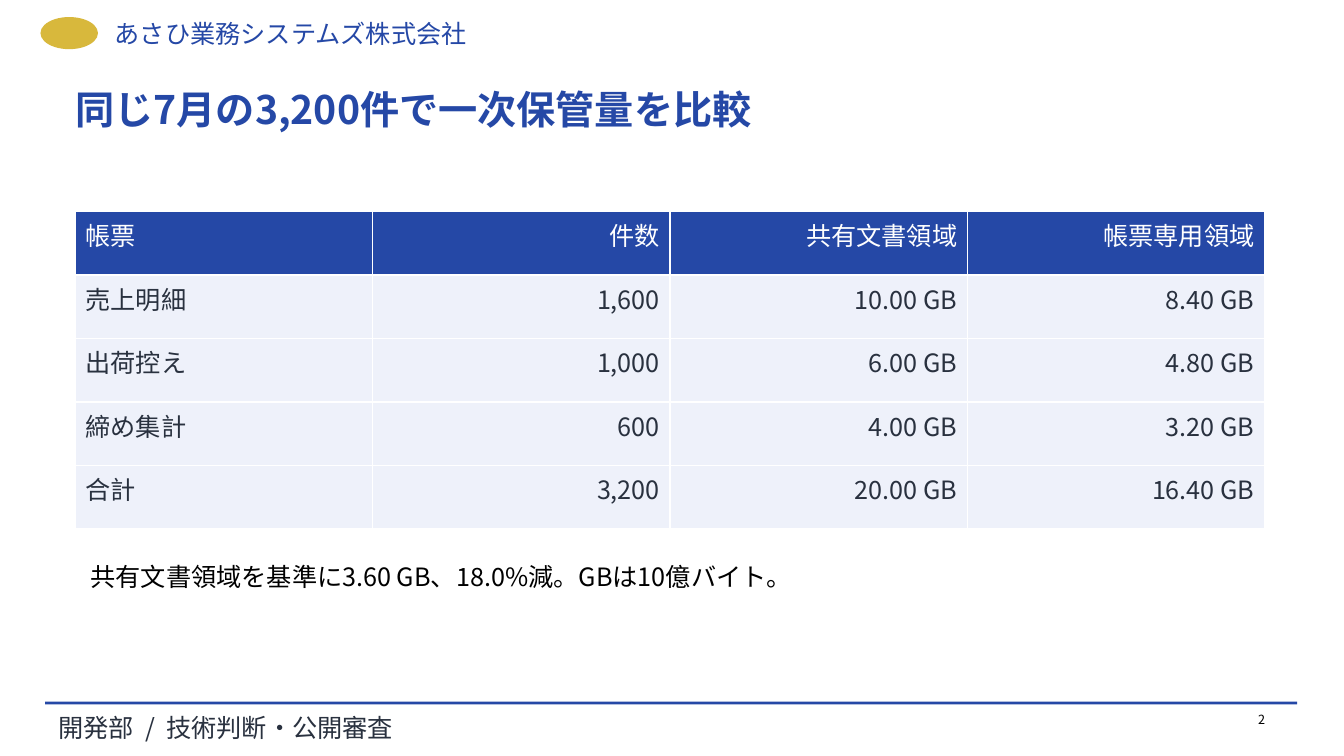
from lxml.etree import SubElement
from pptx import Presentation
from pptx.dml.color import RGBColor
from pptx.enum.shapes import MSO_SHAPE as SHAPE
from pptx.enum.text import MSO_ANCHOR as ANCHOR, PP_ALIGN as ALIGN
from pptx.oxml.ns import qn
from pptx.util import Cm, Pt

BLUE = RGBColor(0x25, 0x48, 0xA6)
GOLD = RGBColor(0xD8, 0xB8, 0x3C)
INK = RGBColor(0x29, 0x31, 0x3F)
PALE = RGBColor(0xEE, 0xF1, 0xFA)
WHITE = RGBColor(0xFF, 0xFF, 0xFF)
BLACK = RGBColor(0, 0, 0)
FONT = "Noto Sans CJK JP"

TITLE = "同じ7月の3,200件で一次保管量を比較"
TITLE_BOX = (1.65, 2.16, 30.48, 2.54)
TABLE_BOX = (1.9, 5.33, 29.97, 8)
ROWS = [
    ("帳票", "件数", "共有文書領域", "帳票専用領域"),
    ("売上明細", "1,600", "10.00 GB", "8.40 GB"),
    ("出荷控え", "1,000", "6.00 GB", "4.80 GB"),
    ("締め集計", "600", "4.00 GB", "3.20 GB"),
    ("合計", "3,200", "20.00 GB", "16.40 GB"),
]
SHAPES = [
    (SHAPE.OVAL, (1.02, 0.43, 1.45, 0.81), GOLD),
    (SHAPE.RECTANGLE, (1.14, 17.68, 31.55, 0.07), BLUE),
]
TEXTS = [
    ("あさひ業務システムズ株式会社", (2.64, 0.43, 17.78, 0.86), 18, BLUE, ALIGN.LEFT),
    ("開発部  /  技術判断・公開審査", (1.22, 17.91, 25.4, 0.66), 18, INK, ALIGN.LEFT),
    ("2", (30.61, 17.86, 1.52, 0.76), 9, BLACK, ALIGN.RIGHT),
    ("共有文書領域を基準に3.60 GB、18.0%減。GBは10億バイト。",
     (2.03, 14.1, 29.72, 1.65), 18, BLACK, ALIGN.LEFT),
]


def write(tf, text, size, color, align=ALIGN.LEFT, bold=False, spacing=0.9):
    """Fill a text frame with one formatted paragraph."""
    p = tf.paragraphs[0]
    r = p.add_run()
    r.text = text
    for name, value in {"alignment": align, "line_spacing": spacing}.items():
        setattr(p, name, value)
    for name, value in {"name": FONT, "size": Pt(size), "bold": bold}.items():
        setattr(r.font, name, value)
    r.font.color.rgb = color
    SubElement(r.font._element, qn("a:ea"), typeface=FONT)


def frame(tf):
    """Set the wrapping, anchor and margins of a text frame."""
    values = {"word_wrap": True, "vertical_anchor": ANCHOR.TOP,
              "margin_left": Cm(0.25), "margin_right": Cm(0.25),
              "margin_top": Cm(0.13), "margin_bottom": Cm(0.13)}
    for name, value in values.items():
        setattr(tf, name, value)
    return tf


def add_table(s):
    """Add the storage comparison table."""
    table = s.shapes.add_table(len(ROWS), len(ROWS[0]), *map(Cm, TABLE_BOX)).table
    table.horz_banding = False
    for i, row in enumerate(ROWS):
        fill, color = (PALE, INK) if i else (BLUE, WHITE)
        for j, text in enumerate(row):
            cell = table.cell(i, j)
            cell.fill.solid()
            cell.fill.fore_color.rgb = fill
            align = ALIGN.RIGHT if j else ALIGN.LEFT
            write(cell.text_frame, text, 18, color, align, spacing=1.0)


def main():
    """Build and save the slide."""
    prs = Presentation()
    prs.slide_width, prs.slide_height = Cm(33.87), Cm(19.05)
    s = prs.slides.add_slide(prs.slide_layouts[5])
    title = s.shapes.title
    for name, value in zip(("left", "top", "width", "height"), TITLE_BOX):
        setattr(title, name, Cm(value))
    write(frame(title.text_frame), TITLE, 28, BLUE, bold=True)
    for kind, box, color in SHAPES:
        sp = s.shapes.add_shape(kind, *map(Cm, box))
        sp.shadow.inherit = False
        sp.fill.solid()
        sp.fill.fore_color.rgb = color
        sp.line.fill.background()
    add_table(s)
    for text, box, size, color, align in TEXTS:
        tf = frame(s.shapes.add_textbox(*map(Cm, box)).text_frame)
        write(tf, text, size, color, align)
    prs.save("out.pptx")


if __name__ == "__main__":
    main()
